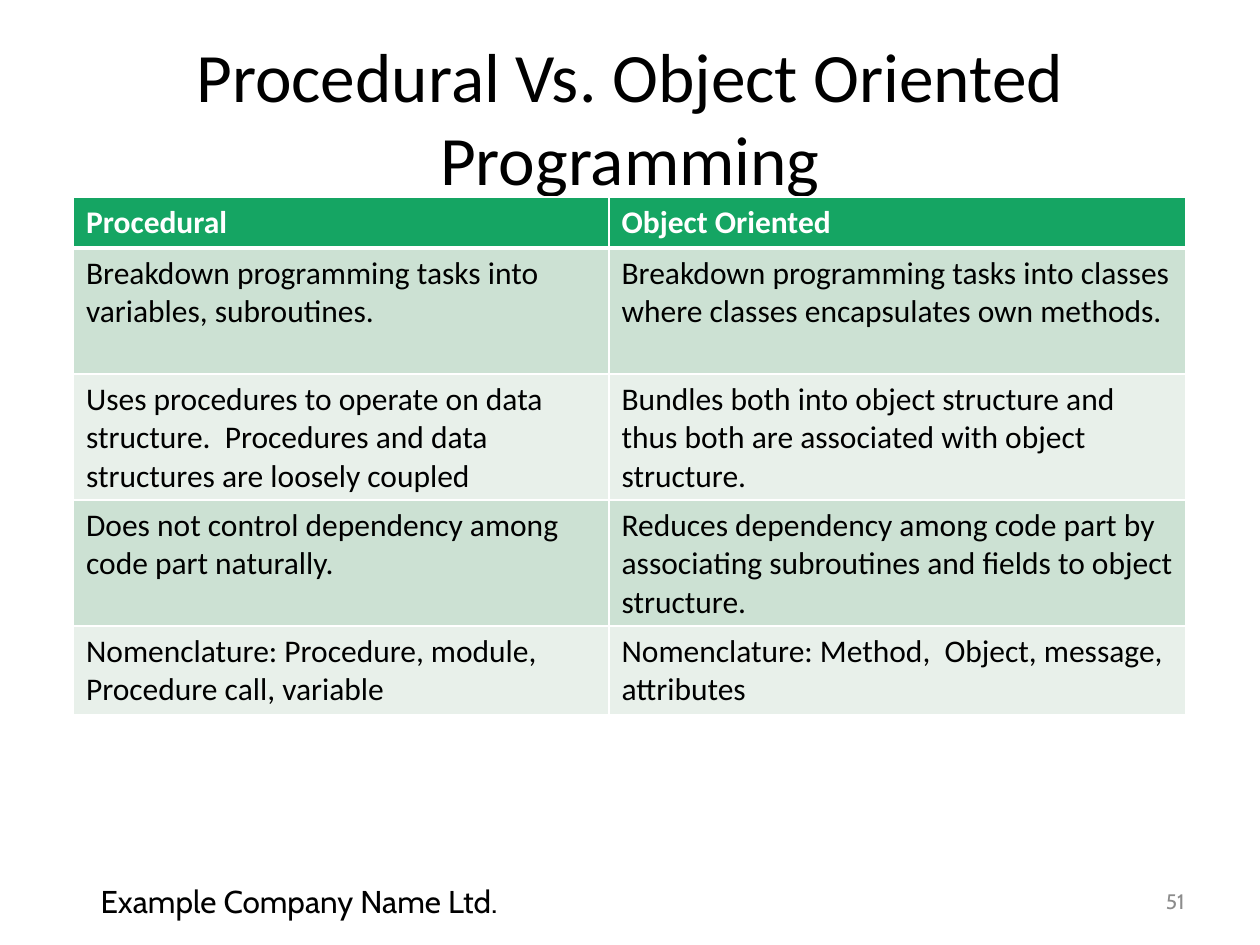
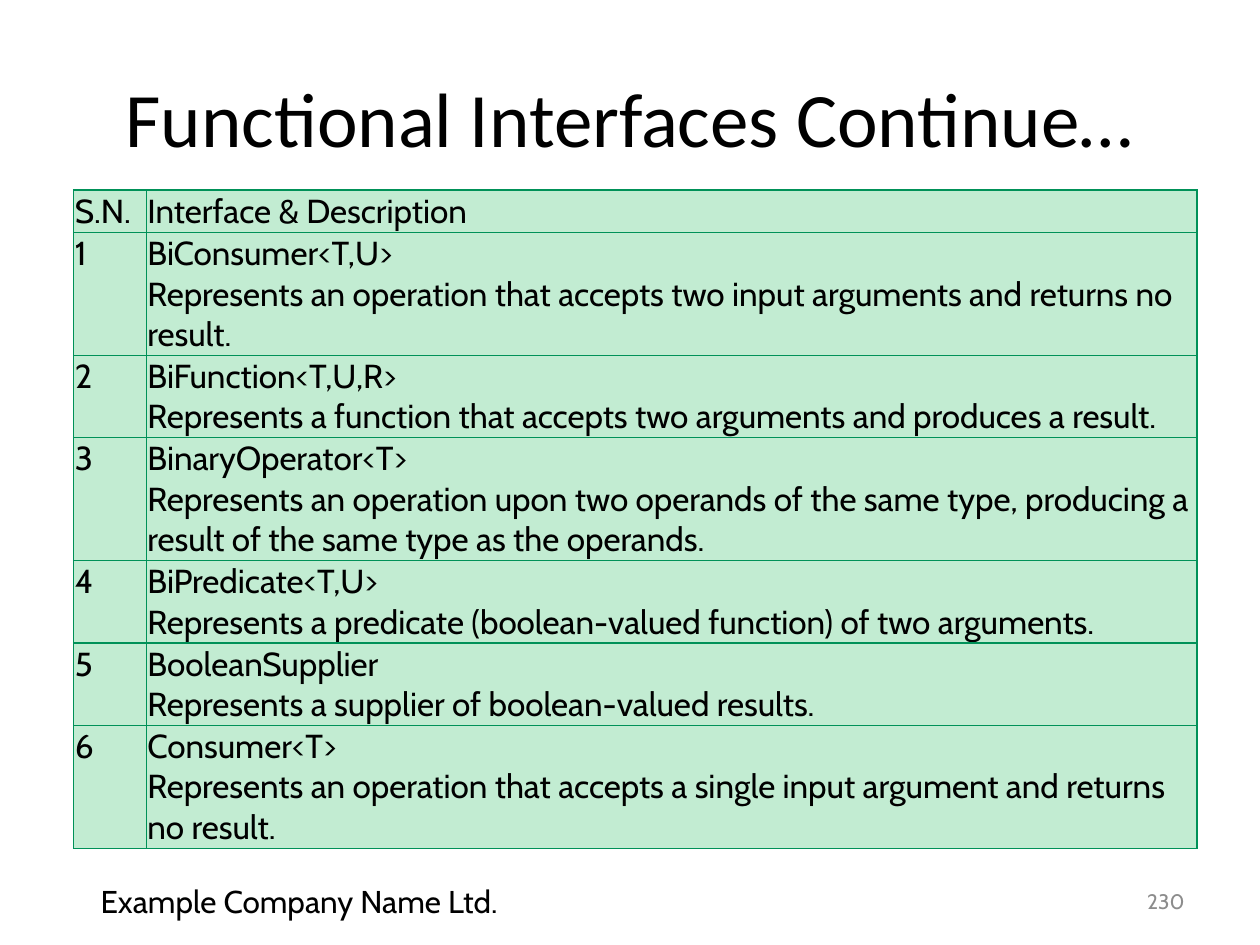
from collections import namedtuple
from lxml import etree
from pptx import Presentation
from pptx.dml.color import RGBColor
from pptx.enum.text import MSO_ANCHOR as Anchor, PP_ALIGN as Align
from pptx.oxml.ns import qn
from pptx.util import Pt

Box = namedtuple("Box", "left top width height")

BLACK = RGBColor(0x00, 0x00, 0x00)
WHITE = RGBColor(0xFF, 0xFF, 0xFF)
GREY = RGBColor(0x8C, 0x8C, 0x8C)
HEADER_GREEN = RGBColor(0x15, 0xA5, 0x63)
BAND_COLOURS = (RGBColor(0xCC, 0xE1, 0xD3), RGBColor(0xE8, 0xF0, 0xEA))
PALE_GREEN = RGBColor(0xC2, 0xEC, 0xD2)
GRID_GREEN = RGBColor(0x00, 0x91, 0x58)

SLIDE_SIZE = (720, 540)
TITLE_BOX = Box(36, 21.6, 648, 90)
FOOTER_BOX = Box(50.4, 500.4, 633.6, 28.8)
COMPANY_WIDTH = 273.6
NUMBER_WIDTH = 48
COMPANY = "Example Company Name Ltd."

TITLE_FONT = {"name": "Calibri", "size": Pt(44), "color": BLACK}
COMPANY_FONT = {"name": "Cabin", "size": Pt(18), "color": BLACK}
NUMBER_FONT = {"name": "Cabin", "size": Pt(12), "color": GREY}
BODY_FONT = {"name": "Calibri", "size": Pt(18), "color": BLACK, "bold": False}
HEADER_FONT = {**BODY_FONT, "color": WHITE, "bold": True}
INTERFACE_FONT = {"name": "Cabin", "size": Pt(19), "color": BLACK, "bold": False}

COMPARISON_BOX = Box(42, 112.5, 635.75, 295.9)
COMPARISON_COLUMNS = (306, 329.75)
COMPARISON_HEIGHTS = (29.2, 72, 72, 72, 50.4)
COMPARISON = (
    ("Procedural", "Object Oriented"),
    ("Breakdown programming tasks into variables, subroutines.",
     "Breakdown programming tasks into classes where classes encapsulates own methods."),
    ("Uses procedures to operate on data structure.  Procedures and data "
     "structures are loosely coupled",
     "Bundles both into object structure and thus both are associated with "
     "object structure."),
    ("Does not control dependency among code part naturally.",
     "Reduces dependency among code part by associating subroutines and fields "
     "to object structure."),
    ("Nomenclature: Procedure, module, Procedure call, variable",
     "Nomenclature: Method,  Object, message, attributes"),
)

INTERFACE_BOX = Box(42, 108.6, 642, 374.4)
INTERFACE_COLUMNS = (41.5, 600.5)
LINE_HEIGHT = 23.4
INTERFACE_LINES = (1, 3, 2, 3, 2, 2, 3)
INTERFACES = (
    ("BiConsumer<T,U>",
     "Represents an operation that accepts two input arguments and returns no result."),
    ("BiFunction<T,U,R>",
     "Represents a function that accepts two arguments and produces a result."),
    ("BinaryOperator<T>",
     "Represents an operation upon two operands of the same type, producing a "
     "result of the same type as the operands."),
    ("BiPredicate<T,U>",
     "Represents a predicate (boolean-valued function) of two arguments."),
    ("BooleanSupplier", "Represents a supplier of boolean-valued results."),
    ("Consumer<T>",
     "Represents an operation that accepts a single input argument and returns no result."),
)


def format_font(font, values):
    for name, value in values.items():
        if name == "color":
            font.color.rgb = value
        else:
            setattr(font, name, value)


def write_lines(paragraph, lines, font):
    for index, line in enumerate(lines):
        if index:
            paragraph.add_line_break()
        run = paragraph.add_run()
        run.text = line
        format_font(run.font, font)
    format_font(paragraph.font, font)


def add_label(slide, box, text, font, alignment):
    frame = slide.shapes.add_textbox(*map(Pt, box)).text_frame
    frame.word_wrap = True
    frame.vertical_anchor = Anchor.MIDDLE
    paragraph = frame.paragraphs[0]
    paragraph.alignment = alignment
    write_lines(paragraph, (text,), font)


def add_footer(slide, box, number):
    company_box = box._replace(width=COMPANY_WIDTH)
    number_box = box._replace(left=box.left + box.width - NUMBER_WIDTH, width=NUMBER_WIDTH)
    add_label(slide, company_box, COMPANY, COMPANY_FONT, Align.LEFT)
    add_label(slide, number_box, str(number), NUMBER_FONT, Align.RIGHT)


def set_borders(cell, colour, widths):
    properties = cell._tc.get_or_add_tcPr()
    for index, (side, width) in enumerate(zip("LRTB", widths)):
        line = etree.Element(qn(f"a:ln{side}"), w=str(Pt(width)))
        fill = etree.SubElement(line, qn("a:solidFill"))
        etree.SubElement(fill, qn("a:srgbClr"), val=str(colour))
        properties.insert(index, line)


def fill_cell(cell, lines, font, fill, margins):
    for side, margin in zip(("left", "right", "top", "bottom"), margins):
        setattr(cell, f"margin_{side}", Pt(margin))
    cell.fill.solid()
    cell.fill.fore_color.rgb = fill
    write_lines(cell.text_frame.paragraphs[0], lines, font)


def add_grid(slide, box, widths, heights):
    table = slide.shapes.add_table(len(heights), len(widths), *map(Pt, box)).table
    for column, width in zip(table.columns, widths):
        column.width = Pt(width)
    for row, height in zip(table.rows, heights):
        row.height = Pt(height)
    return table


def add_comparison_table(slide, box):
    table = add_grid(slide, box, COMPARISON_COLUMNS, COMPARISON_HEIGHTS)
    for row, texts in enumerate(COMPARISON):
        font = BODY_FONT if row else HEADER_FONT
        fill = BAND_COLOURS[(row - 1) % 2] if row else HEADER_GREEN
        top, bottom = (3 if row == 1 else 1), (1 if row else 3)
        for column, text in enumerate(texts):
            cell = table.cell(row, column)
            fill_cell(cell, (text,), font, fill, (7.2, 7.2, 3.6, 3.6))
            set_borders(cell, WHITE, (1, 1, top, bottom))


def add_interface_table(slide, box):
    heights = [lines * LINE_HEIGHT for lines in INTERFACE_LINES]
    table = add_grid(slide, box, INTERFACE_COLUMNS, heights)
    rows = [(("S.N.",), ("Interface & Description",))]
    rows += [((str(number),), lines) for number, lines in enumerate(INTERFACES, 1)]
    for row, cells in enumerate(rows):
        for column, lines in enumerate(cells):
            cell = table.cell(row, column)
            fill_cell(cell, lines, INTERFACE_FONT, PALE_GREEN, (0.75,) * 4)
            set_borders(cell, GRID_GREEN, (0.75,) * 4)


def add_table_slide(presentation, title, title_size, number, add_table, table_box):
    slide = presentation.slides.add_slide(presentation.slide_layouts[6])
    add_label(slide, TITLE_BOX, title, {**TITLE_FONT, "size": Pt(title_size)}, Align.CENTER)
    add_footer(slide, FOOTER_BOX, number)
    add_table(slide, table_box)


def main():
    presentation = Presentation()
    presentation.slide_width, presentation.slide_height = map(Pt, SLIDE_SIZE)
    add_table_slide(presentation, "Procedural Vs. Object Oriented Programming", 39.6, 51,
                    add_comparison_table, COMPARISON_BOX)
    add_table_slide(presentation, "Functional Interfaces Continue…", 44, 230,
                    add_interface_table, INTERFACE_BOX)
    presentation.save("out.pptx")


if __name__ == "__main__":
    main()
